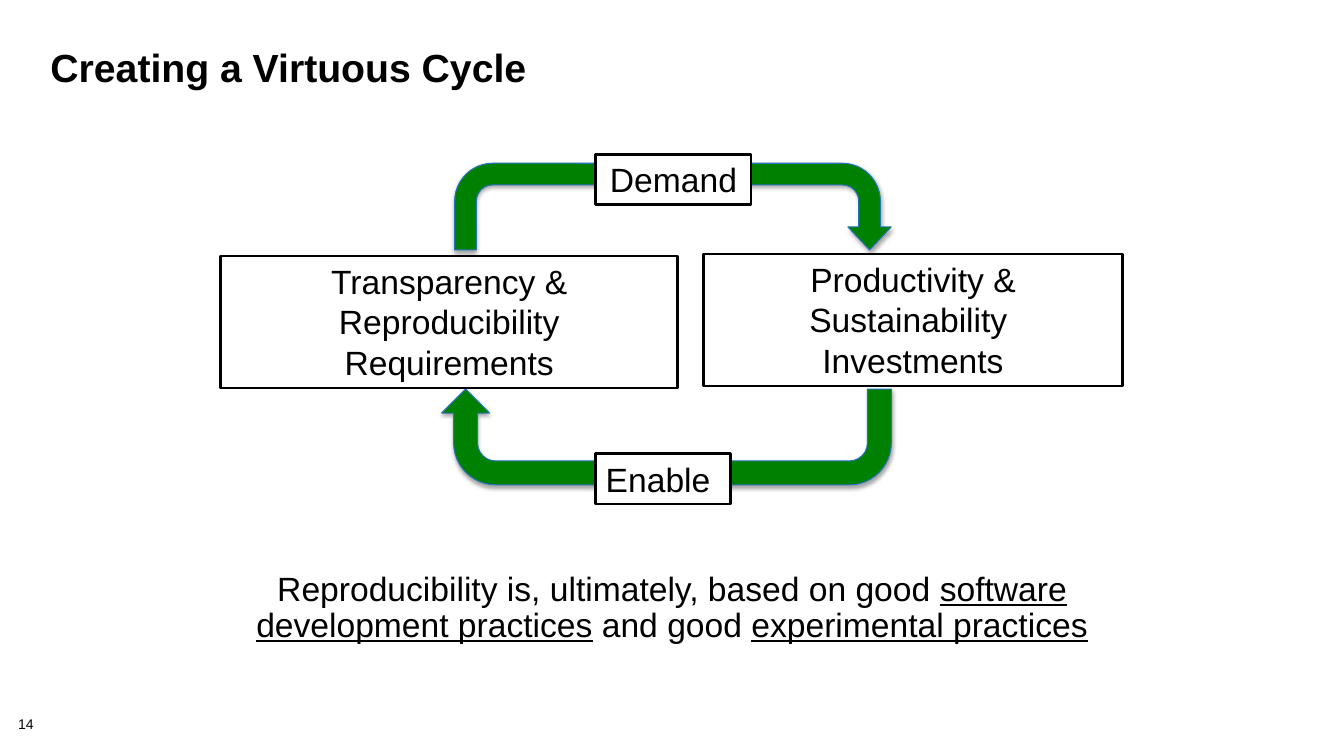
from lxml import etree
from pptx import Presentation
from pptx.dml.color import RGBColor
from pptx.enum.shapes import MSO_SHAPE
from pptx.enum.text import MSO_ANCHOR, PP_ALIGN
from pptx.oxml import parse_xml
from pptx.oxml.ns import qn
from pptx.util import Inches, Pt

BLACK = RGBColor(0x00, 0x00, 0x00)
WHITE = RGBColor(0xFF, 0xFF, 0xFF)
GREEN = RGBColor(0x00, 0x80, 0x00)
BLUE = RGBColor(0x26, 0x73, 0xBA)
RECTANGLE, UTURN = MSO_SHAPE.RECTANGLE, MSO_SHAPE.U_TURN_ARROW
TOP, MIDDLE = MSO_ANCHOR.TOP, MSO_ANCHOR.MIDDLE
LEFT, CENTER = PP_ALIGN.LEFT, PP_ALIGN.CENTER
DRAWING = "http://schemas.openxmlformats.org/drawingml/2006/main"
SHADOW = (
    f'<a:effectLst xmlns:a="{DRAWING}">'
    '<a:outerShdw blurRad="39370" dist="22860" dir="5400000" rotWithShape="0">'
    '<a:srgbClr val="000000"><a:alpha val="35000"/></a:srgbClr>'
    '</a:outerShdw></a:effectLst>'
)


def style(para, size, align=LEFT, bold=False):
    para.alignment = align
    para.font.name = "Arial"
    para.font.size = Pt(size)
    para.font.bold = bold
    para.font.color.rgb = BLACK


deck = Presentation()
deck.slide_width, deck.slide_height = Inches(13.33), Inches(7.5)
page = deck.slides.add_slide(deck.slide_layouts[5])

# Title
title = page.shapes.title
title.left, title.top = Inches(0.4), Inches(0.45)
title.width, title.height = Inches(12.44), Inches(1)
title.text_frame.text = "Creating a Virtuous Cycle"
title.text_frame.vertical_anchor = TOP
title.text_frame.word_wrap = True
title.text_frame.paragraphs[0].line_spacing = 0.85
style(title.text_frame.paragraphs[0], 28, bold=True)

# Cycle arrows: the lower one is turned half round
arrows = [
    (4.51, 1.62, 4.33, 0.86, 0.265, 0),
    (4.38, 3.86, 4.46, 0.95, 0.25, 180),
]
for left, top, width, height, head_length, turn in arrows:
    arrow = page.shapes.add_shape(
        UTURN, Inches(left), Inches(top), Inches(width), Inches(height))
    for index, value in enumerate([0.25, 0.25, head_length, 0.438, 1]):
        arrow.adjustments[index] = value
    arrow.rotation = turn
    arrow.fill.solid()
    arrow.fill.fore_color.rgb = GREEN
    arrow.line.color.rgb = BLUE
    arrow.line.width = Pt(0.75)
    arrow._element.spPr.append(parse_xml(SHADOW))

# Boxes of the cycle and the labels on its arrows
boxes = [
    ("Transparency & Reproducibility Requirements", 2.19, 2.54, 4.53, 1.31, CENTER),
    ("Productivity & Sustainability \vInvestments", 6.98, 2.52, 4.15, 1.31, CENTER),
    ("Demand", 5.91, 1.53, 1.54, 0.5, CENTER),
    ("Enable", 5.91, 4.5, 1.34, 0.5, LEFT),
]
for text, left, top, width, height, align in boxes:
    box = page.shapes.add_shape(
        RECTANGLE, Inches(left), Inches(top), Inches(width), Inches(height))
    box.shadow.inherit = False
    box.fill.solid()
    box.fill.fore_color.rgb = WHITE
    box.line.color.rgb = BLACK
    box.line.width = Pt(2)
    box.text_frame.text = text
    box.text_frame.word_wrap = True
    box.text_frame.vertical_anchor = TOP
    style(box.text_frame.paragraphs[0], 24, align)

# Conclusion with underlined key terms
conclusion = page.shapes.add_textbox(
    Inches(2.36), Inches(5.57), Inches(8.61), Inches(0.93))
frame = conclusion.text_frame
frame.word_wrap = True
frame.vertical_anchor = MIDDLE
frame.margin_left = frame.margin_right = Inches(0.13)
frame.margin_top = frame.margin_bottom = Inches(0.1)
para = frame.paragraphs[0]
para.line_spacing = 0.9
style(para, 24, CENTER)
for text, underlined in [
    ("Reproducibility is, ultimately, based on good ", False),
    ("software development practices", True),
    (" and good ", False),
    ("experimental practices", True),
]:
    span = para.add_run()
    span.text = text
    span.font.underline = underlined

# Slide number as a live field
number = page.shapes.add_textbox(
    Inches(0.18), Inches(7.12), Inches(0.56), Inches(0.16))
frame = number.text_frame
frame.word_wrap = True
frame.margin_left = frame.margin_right = 0
frame.margin_top = frame.margin_bottom = 0
para = frame.paragraphs[0]
para.line_spacing = 0.9
style(para, 10)
field = etree.SubElement(
    para._p, qn("a:fld"),
    id="{B6F15528-21DE-4FAA-801E-634DDDAF4B2B}", type="slidenum")
properties = etree.SubElement(field, qn("a:rPr"), lang="en-US", sz="1000")
etree.SubElement(properties, qn("a:latin"), typeface="Arial")
etree.SubElement(field, qn("a:t")).text = "14"
deck.element.set("firstSlideNum", "14")

deck.save("out.pptx")
